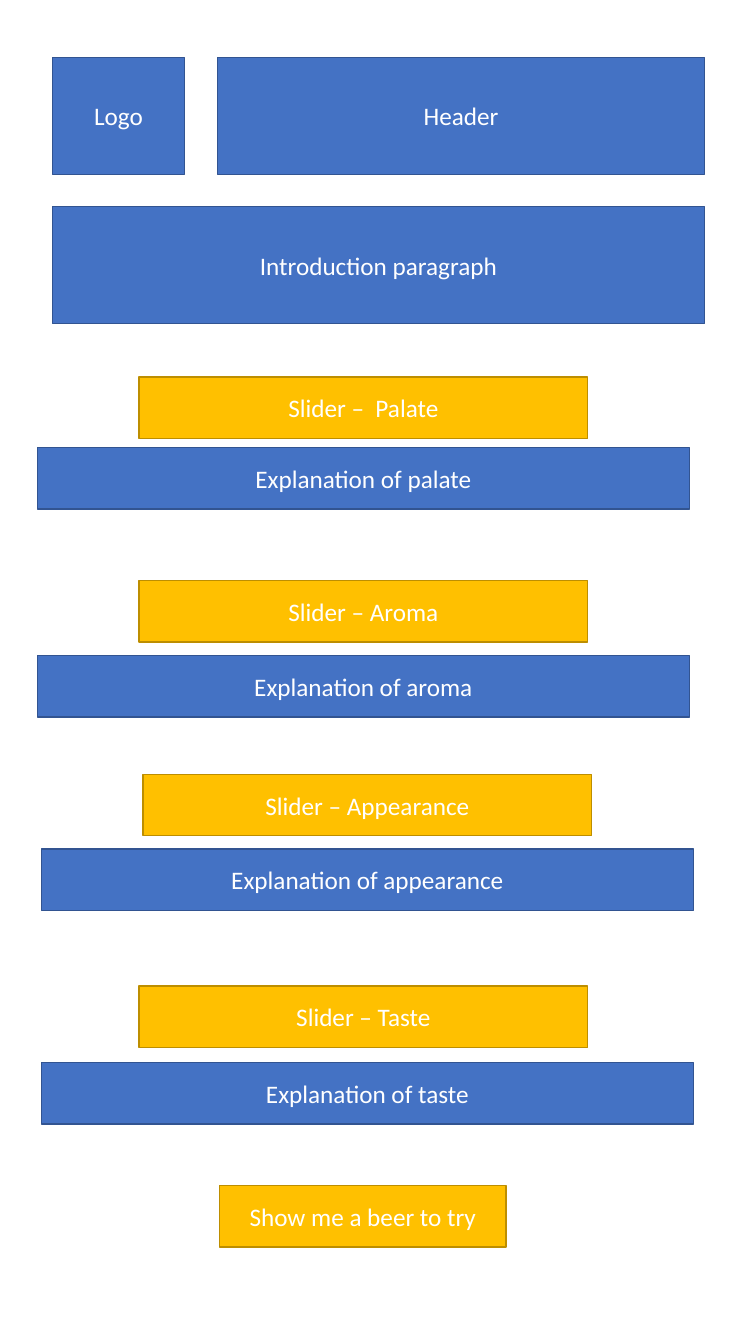
from pptx import Presentation
from pptx.dml.color import RGBColor
from pptx.enum.shapes import MSO_SHAPE
from pptx.enum.text import MSO_ANCHOR, PP_ALIGN
from pptx.util import Inches, Pt

BLUE = ("4472C4", "325491")
GOLD = ("FFC000", "BD8E00")
FULL_WIDTH = 6.47
SLIDER_WIDTH = 4.45
BANNER_HEIGHT = 1.16
BAR_HEIGHT = 0.61

RATINGS = [
    ("Slider –  Palate", 1.38, 3.74, "Explanation of palate", 0.37, 4.44),
    ("Slider – Aroma", 1.38, 5.76, "Explanation of aroma", 0.37, 6.5),
    ("Slider – Appearance", 1.42, 7.68, "Explanation of appearance", 0.41, 8.42),
    ("Slider – Taste", 1.38, 9.78, "Explanation of taste", 0.41, 10.54),
]


def rgb(value):
    """Turn a hex string into a colour."""
    return RGBColor.from_string(value)


def add_block(slide, text, left, top, width, height, colors):
    """Add a labelled rectangle with a fill and line colour."""
    fill, line = colors
    sp = slide.shapes.add_shape(
        MSO_SHAPE.RECTANGLE, Inches(left), Inches(top), Inches(width), Inches(height)
    )
    sp.shadow.inherit = False
    sp.fill.solid()
    sp.fill.fore_color.rgb = rgb(fill)
    sp.line.color.rgb = rgb(line)
    sp.line.width = Pt(1)
    tf = sp.text_frame
    tf.word_wrap = True
    tf.vertical_anchor = MSO_ANCHOR.MIDDLE
    p = tf.paragraphs[0]
    p.text = text
    p.alignment = PP_ALIGN.CENTER
    font = p.runs[0].font
    font.name = "Calibri"
    font.size = Pt(18)
    font.color.rgb = rgb("FFFFFF")


def add_masthead(slide, left, top, width):
    """Add the logo and header side by side with the introduction below."""
    logo_width, gap = 1.31, 0.33
    header_offset = logo_width + gap
    add_block(slide, "Logo", left, top, logo_width, BANNER_HEIGHT, BLUE)
    add_block(slide, "Header", left + header_offset, top,
              width - header_offset, BANNER_HEIGHT, BLUE)
    add_block(slide, "Introduction paragraph", left, top + BANNER_HEIGHT + gap - 0.01,
              width, BANNER_HEIGHT, BLUE)


def add_rating(slide, slider, slider_left, slider_top, note, note_left, note_top):
    """Add a slider bar and its explanation bar."""
    add_block(slide, slider, slider_left, slider_top, SLIDER_WIDTH, BAR_HEIGHT, GOLD)
    add_block(slide, note, note_left, note_top, FULL_WIDTH, BAR_HEIGHT, BLUE)


def main():
    """Build the page wireframe and save it."""
    prs = Presentation()
    prs.slide_width = Inches(7.5)
    prs.slide_height = Inches(13.33)
    slide = prs.slides.add_slide(prs.slide_layouts[6])
    add_masthead(slide, 0.52, 0.57, FULL_WIDTH)
    for rating in RATINGS:
        add_rating(slide, *rating)
    add_block(slide, "Show me a beer to try", 2.18, 11.76, 2.84, BAR_HEIGHT, GOLD)
    prs.save("out.pptx")


if __name__ == "__main__":
    main()
